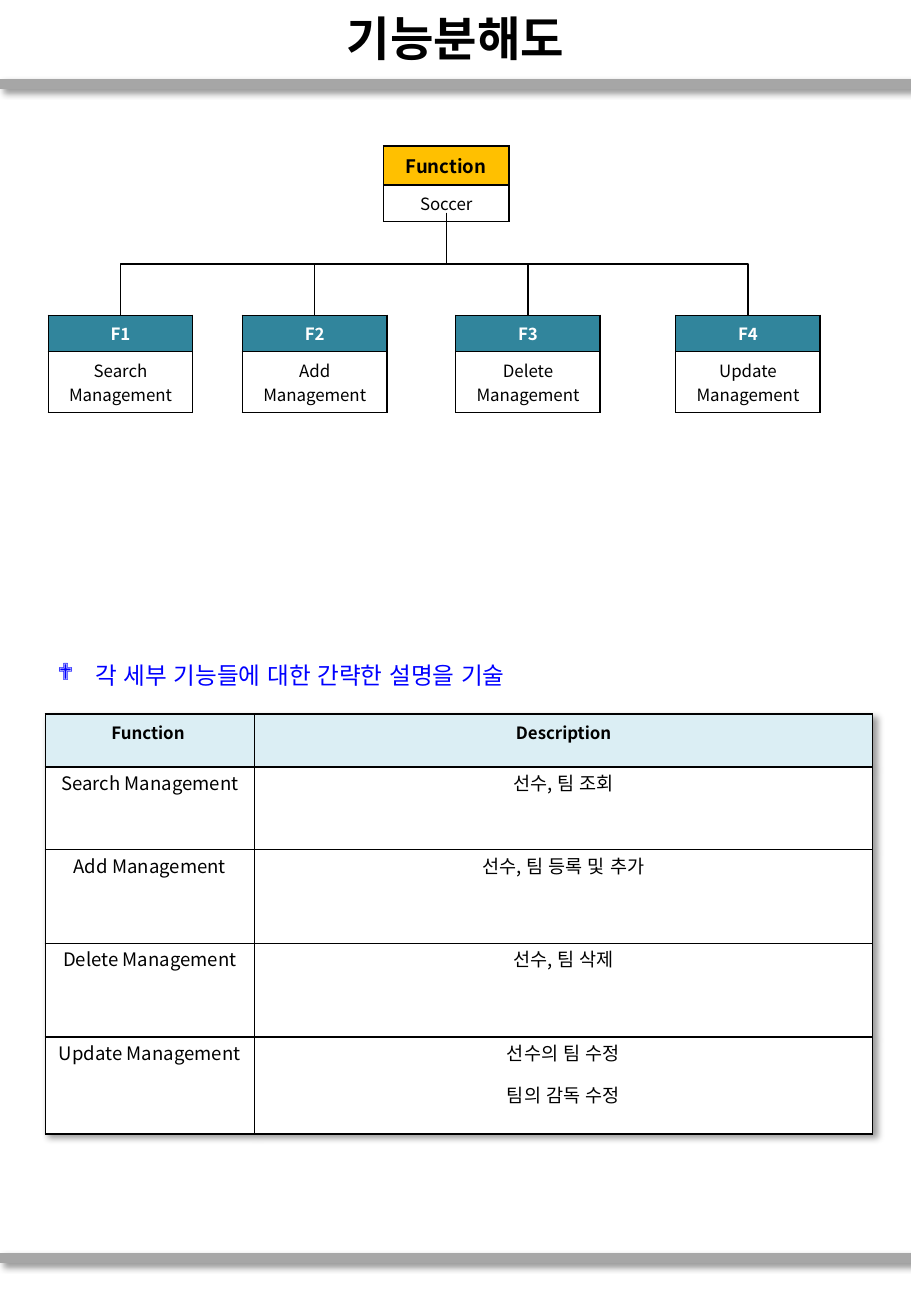
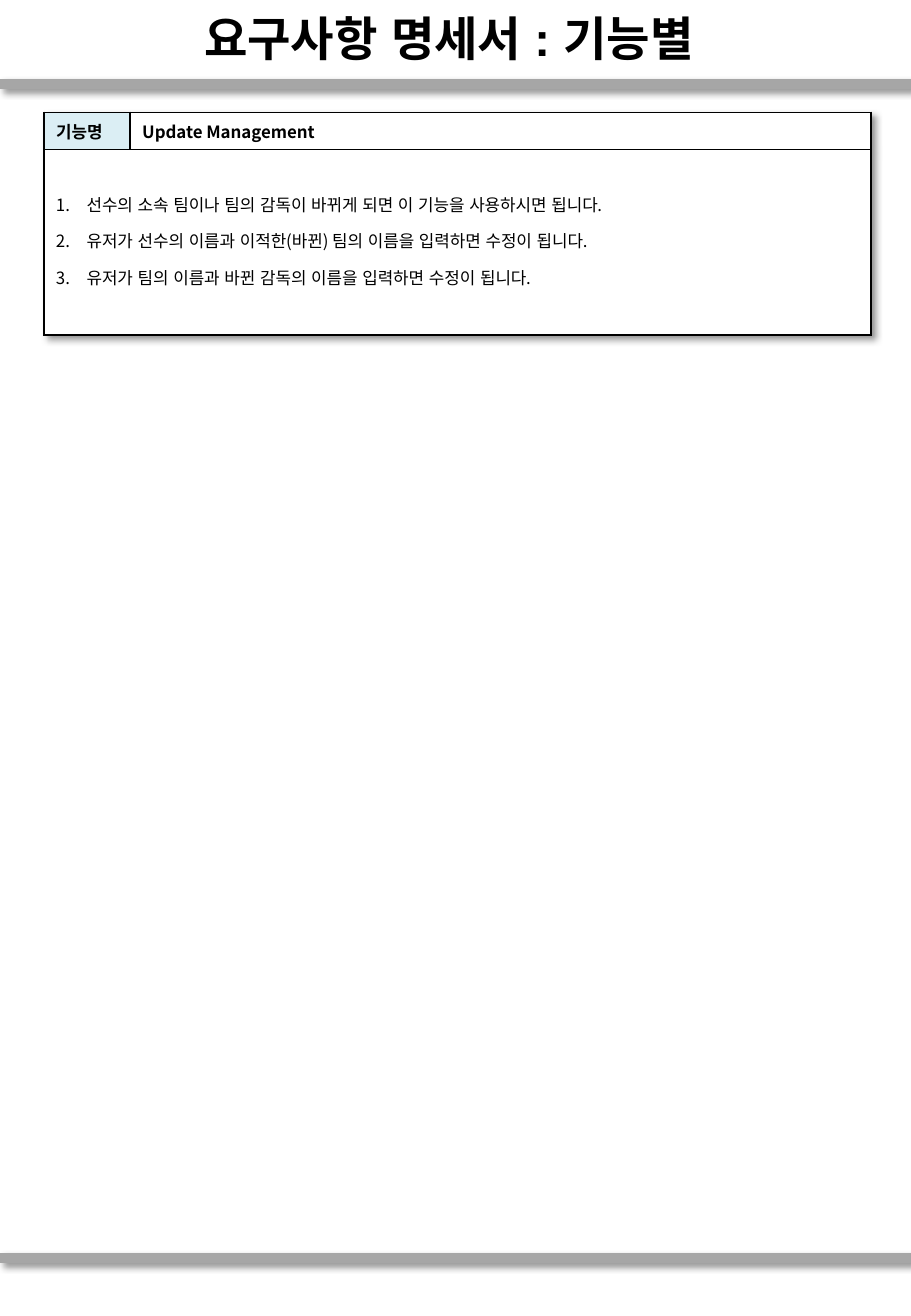
from lxml.etree import SubElement
from pptx import Presentation
from pptx.dml.color import RGBColor
from pptx.enum.lang import MSO_LANGUAGE_ID as Language
from pptx.enum.shapes import MSO_CONNECTOR as Connector
from pptx.enum.text import MSO_ANCHOR as Anchor, PP_ALIGN as Align
from pptx.oxml import parse_xml
from pptx.oxml.ns import nsdecls, qn
from pptx.util import Cm, Pt

FONT = "Noto Sans CJK KR"
BLACK, WHITE, BLUE, GRAY = "000000", "FFFFFF", "0000FF", "A6A6A6"
TEAL, GOLD, PALE = "31859C", "FFC000", "DBEEF4"
WIDTH, HEIGHT = 19.05, 27.51
SHADOW = (
    f'<a:effectLst {nsdecls("a")}><a:outerShdw blurRad="50800" dist="38100" '
    'dir="2700000" algn="tl" rotWithShape="0"><a:srgbClr val="000000">'
    '<a:alpha val="40000"/></a:srgbClr></a:outerShdw></a:effectLst>'
)
NO_SHADOW = f'<a:effectLst {nsdecls("a")}/>'


def color(value):
    return RGBColor.from_string(value)


def write_text(frame, text, size=10, fill=BLACK, bold=False, font=FONT,
               align=Align.LEFT, spacing=None, after=None, indent=0,
               bullet=None, number=None):
    """Write one paragraph for each line of the text."""
    frame.word_wrap = True
    for index, line in enumerate(text.split("\n")):
        paragraph = frame.add_paragraph() if index else frame.paragraphs[0]
        paragraph.alignment = align
        paragraph.line_spacing = spacing
        paragraph.space_after = after
        run = paragraph.add_run()
        run.text = line
        run.font.size, run.font.bold, run.font.name = Pt(size), bold, font
        run.font.language_id = Language.KOREAN
        run.font.color.rgb = color(fill)
        SubElement(run.font._element, qn("a:ea"), typeface=FONT)
        if bullet or number:
            properties = paragraph._p.get_or_add_pPr()
            properties.set("marL", str(Cm(indent)))
            properties.set("indent", str(-Cm(indent)))
            if bullet:
                SubElement(properties, qn("a:buFont"), typeface="Wingdings")
                SubElement(properties, qn("a:buChar"), char=bullet)
            else:
                SubElement(properties, qn("a:buAutoNum"), type=number)


def set_borders(cell):
    properties = cell._tc.get_or_add_tcPr()
    for index, side in enumerate("LRTB"):
        properties.insert(index, parse_xml(
            f'<a:ln{side} {nsdecls("a")} w="12700"><a:solidFill>'
            f'<a:srgbClr val="{BLACK}"/></a:solidFill></a:ln{side}>'))


class Deck:
    def __init__(self):
        self.presentation = Presentation()
        self.presentation.slide_width = Cm(WIDTH)
        self.presentation.slide_height = Cm(HEIGHT)
        self.slide = None

    def add_slide(self, title, font=FONT):
        layout = self.presentation.slide_layouts[6]
        self.slide = self.presentation.slides.add_slide(layout)
        for y in (1.75, 26.3):
            self.line(Connector.STRAIGHT, (0, y), (WIDTH, y), GRAY, 6, SHADOW)
        self.text(0, 0.03, WIDTH, 1.52, title, anchor=Anchor.MIDDLE,
                  size=28, bold=True, font=font, align=Align.CENTER)

    def line(self, kind, start, end, fill=BLACK, weight=0.75, effect=NO_SHADOW):
        points = [Cm(value) for value in (*start, *end)]
        connector = self.slide.shapes.add_connector(kind, *points)
        connector.line.color.rgb = color(fill)
        connector.line.width = Pt(weight)
        connector._element.spPr.append(parse_xml(effect))
        return connector

    def branch(self, start, end):
        """Draw an elbow that leaves and arrives vertically."""
        (x1, y1), (x2, y2) = start, end
        middle_x, middle_y = (x1 + x2) / 2, (y1 + y2) / 2
        half_x, half_y = abs(x2 - x1) / 2, (y2 - y1) / 2
        rightward = x2 > x1
        if rightward:
            half_y = -half_y
        connector = self.line(Connector.ELBOW,
                              (middle_x - half_y, middle_y - half_x),
                              (middle_x + half_y, middle_y + half_x))
        frame = connector._element.spPr.find(qn("a:xfrm"))
        frame.set("rot", str((270 if rightward else 90) * 60000))

    def text(self, x, y, width, height, text, anchor=Anchor.TOP, **style):
        box = self.slide.shapes.add_textbox(Cm(x), Cm(y), Cm(width), Cm(height))
        box.text_frame.vertical_anchor = anchor
        write_text(box.text_frame, text, **style)

    def table(self, x, y, columns, rows, shadow=False):
        shape = self.slide.shapes.add_table(
            len(rows), len(columns), Cm(x), Cm(y), Cm(sum(columns)), Cm(sum(rows)))
        table = shape.table
        table.first_row = table.horz_banding = False
        for column, width in zip(table.columns, columns):
            column.width = Cm(width)
        for row, height in zip(table.rows, rows):
            row.height = Cm(height)
        if shadow:
            table._tbl.tblPr.insert(0, parse_xml(SHADOW))
        return table

    def cell(self, cell, text, back=WHITE, anchor=Anchor.TOP, margins=None, **style):
        """Fill a cell; margins are left and right, top, bottom."""
        cell.fill.solid()
        cell.fill.fore_color.rgb = color(back)
        cell.vertical_anchor = anchor
        if margins:
            side, top, bottom = (Cm(margin) for margin in margins)
            cell.margin_left = cell.margin_right = side
            cell.margin_top, cell.margin_bottom = top, bottom
        write_text(cell.text_frame, text, **style)
        set_borders(cell)

    def node(self, x, y, width, rows, heading, label, back, **style):
        table = self.table(x, y, [width], rows)
        self.cell(table.cell(0, 0), heading, back, bold=True,
                  align=Align.CENTER, **style)
        self.cell(table.cell(1, 0), label, align=Align.CENTER)


def add_function_tree(deck):
    node_width, node_top = 3.02, 6.59
    nodes = [(1.01, "Search"), (5.07, "Add"), (9.53, "Delete"), (14.13, "Update")]
    for number, (x, action) in enumerate(nodes, 1):
        deck.node(x, node_top, node_width, [0.76, 1.27], f"F{number}",
                  f"{action} Management", TEAL, fill=WHITE)
    deck.node(8.02, 3.05, 2.62, [0.82, 0.76], "Function", "Soccer", GOLD, size=11)
    for x, _ in nodes:
        deck.branch((9.33, 4.45), (x + node_width / 2, node_top))


def add_descriptions(deck):
    deck.text(0.95, 13.69, 15.6, 0.86, "각 세부 기능들에 대한 간략한 설명을 기술",
              size=14, fill=BLUE, bullet="❖", indent=0.79)
    contents = [
        ("Function ", "Description"),
        ("Search Management", "선수, 팀 조회"),
        ("Add Management", "선수, 팀 등록 및 추가"),
        ("Delete Management", "선수, 팀 삭제"),
        ("Update Management", "선수의 팀 수정\n팀의 감독 수정"),
    ]
    table = deck.table(0.95, 14.93, [4.37, 12.93],
                       [1.1, 1.73, 1.96, 1.96, 2.03], shadow=True)
    header = dict(back=PALE, bold=True)
    body = dict(margins=(0.18, 0, 0), size=11, spacing=1.07, after=Pt(8))
    for row, texts in enumerate(contents):
        for column, text in enumerate(texts):
            deck.cell(table.cell(row, column), text, align=Align.CENTER,
                      **(body if row else header))


def add_requirement(deck):
    table = deck.table(0.92, 2.35, [1.8, 15.49], [0.77, 3.88], shadow=True)
    name, value = table.cell(0, 0), table.cell(0, 1)
    deck.cell(name, "기능명", PALE, Anchor.MIDDLE, bold=True)
    deck.cell(value, "Update Management", anchor=Anchor.MIDDLE, bold=True)
    details = table.cell(1, 0)
    details.merge(table.cell(1, 1))
    set_borders(table.cell(1, 1))
    steps = [
        "선수의 소속 팀이나 팀의 감독이 바뀌게 되면 이 기능을 사용하시면 됩니다.",
        "유저가 선수의 이름과 이적한(바뀐) 팀의 이름을 입력하면 수정이 됩니다.",
        "유저가 팀의 이름과 바뀐 감독의 이름을 입력하면 수정이 됩니다.",
    ]
    deck.cell(details, "\n".join(steps), margins=(0.25, 0.64, 0.13),
              spacing=1.5, number="arabicPeriod", indent=0.64)


def main():
    deck = Deck()
    deck.add_slide("기능분해도")
    add_function_tree(deck)
    add_descriptions(deck)
    deck.add_slide("요구사항 명세서 : 기능별 ", font="Arial")
    add_requirement(deck)
    deck.presentation.save("out.pptx")


if __name__ == "__main__":
    main()
